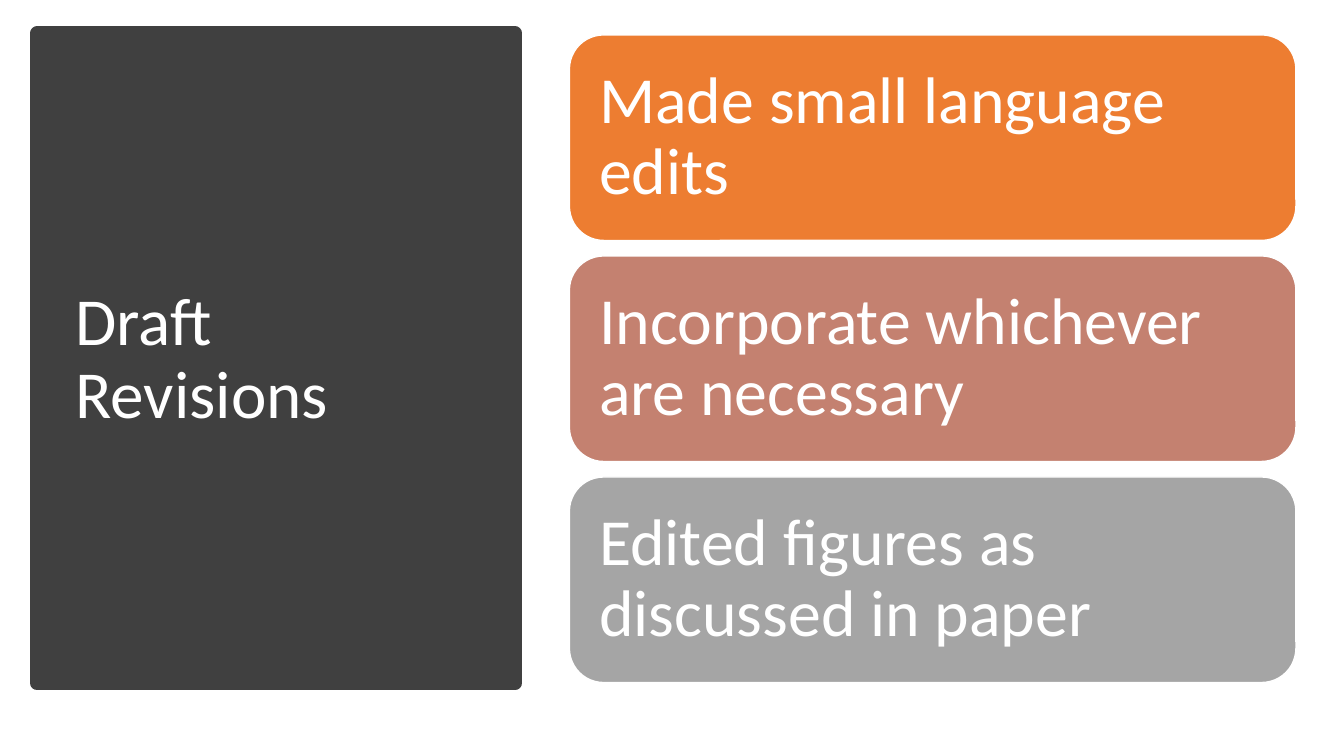
import pptx
import pptx.dml.color
import pptx.enum.shapes
import pptx.enum.text
import pptx.util

Cm = pptx.util.Cm
Pt = pptx.util.Pt
SHAPES = pptx.enum.shapes.MSO_SHAPE


def color(hex_code):
    return pptx.dml.color.RGBColor.from_string(hex_code)


class SlideBuilder:
    """Holds the common style and the slide being drawn."""

    font_name = "Calibri"
    text_color = "FFFFFF"
    line_spacing = 0.9

    def __init__(self, slide):
        self.slide = slide

    def set_text(self, frame, text, size, inset):
        frame.word_wrap = True
        frame.vertical_anchor = pptx.enum.text.MSO_ANCHOR.MIDDLE
        frame.margin_left = frame.margin_right = Cm(inset)
        frame.margin_top = frame.margin_bottom = Cm(inset)
        paragraph = frame.paragraphs[0]
        paragraph.text = text
        paragraph.alignment = pptx.enum.text.PP_ALIGN.LEFT
        paragraph.line_spacing = self.line_spacing
        paragraph.font.name = self.font_name
        paragraph.font.size = Pt(size)
        paragraph.font.color.rgb = color(self.text_color)

    def block(self, kind, box, fill, line, line_width):
        shape = self.slide.shapes.add_shape(kind, *map(Cm, box))
        shape.shadow.inherit = False
        shape.fill.solid()
        shape.fill.fore_color.rgb = color(fill)
        shape.line.color.rgb = color(line)
        shape.line.width = Pt(line_width)
        return shape

    def title(self, box, text):
        heading = self.slide.shapes.add_textbox(*map(Cm, box))
        self.set_text(heading.text_frame, text, size=48, inset=0.25)

    def card(self, box, text, fill):
        card = self.block(SHAPES.ROUNDED_RECTANGLE, box, fill, "FFFFFF", 1)
        self.set_text(card.text_frame, text, size=47, inset=0.5)


def main():
    deck = pptx.Presentation()
    deck.slide_width = Cm(33.87)
    deck.slide_height = Cm(19.05)
    builder = SlideBuilder(deck.slides.add_slide(deck.slide_layouts[6]))

    # Dark title panel
    builder.block(SHAPES.RECTANGLE, (0.94, 0.84, 12.04, 16.38), "404040", "404040", 10)
    builder.title((1.65, 1.78, 10.57, 14.61), "Draft Revisions")

    # Stacked revision cards
    revisions = [
        ("Made small language edits", "ED7D31"),
        ("Incorporate whichever are necessary", "C48170"),
        ("Edited figures as discussed in paper", "A5A5A5"),
    ]
    first_top, card_height, gap = 0.88, 5.18, 0.39
    for index, (revision, fill) in enumerate(revisions):
        top = first_top + index * (card_height + gap)
        builder.card((14.35, top, 18.31, card_height), revision, fill)

    deck.save("out.pptx")


if __name__ == "__main__":
    main()
